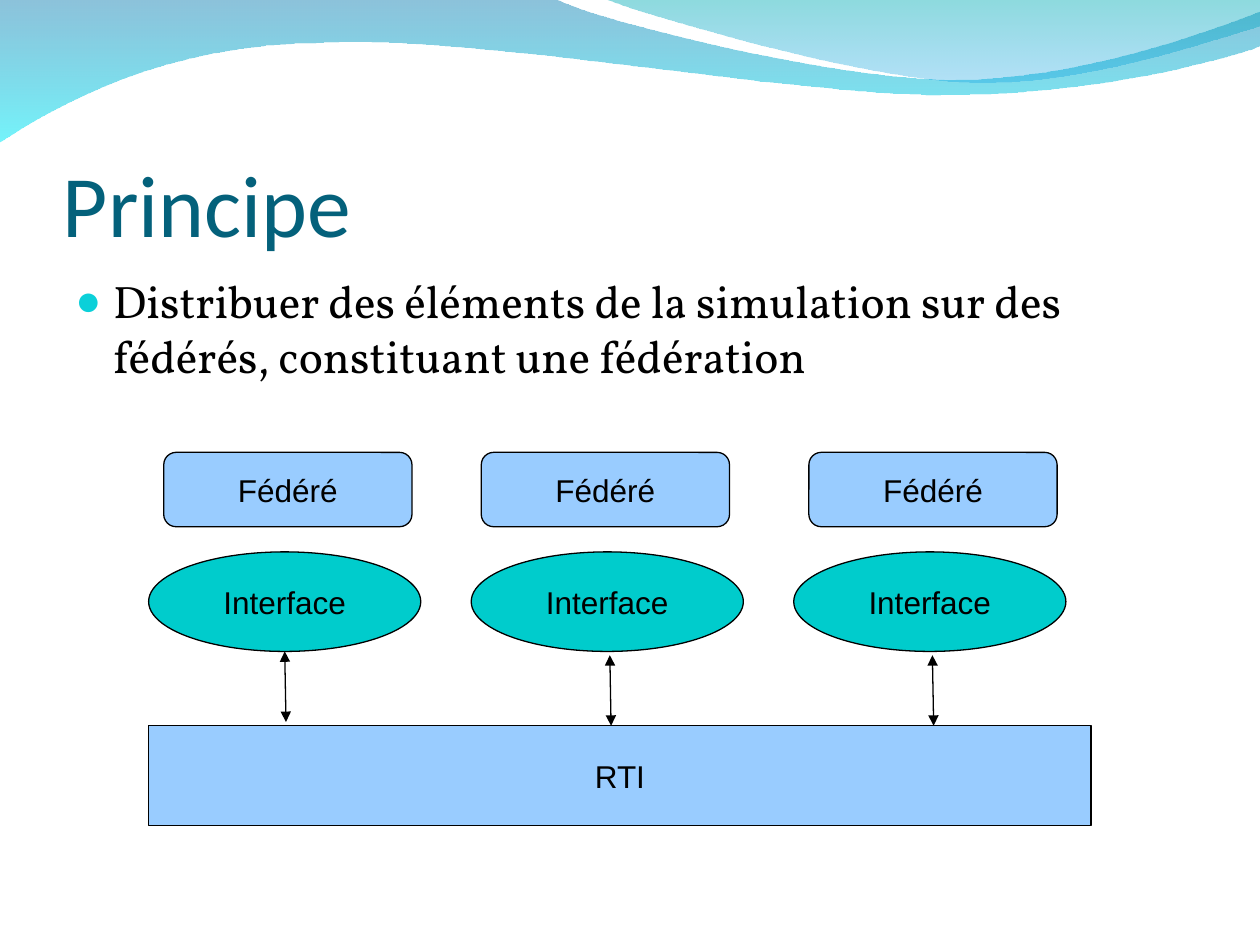
"""Build the slide on the principle of a distributed simulation."""
from lxml import etree
from pptx import Presentation
from pptx.dml.color import RGBColor
from pptx.enum.shapes import MSO_CONNECTOR, MSO_SHAPE
from pptx.enum.text import MSO_ANCHOR, PP_ALIGN
from pptx.oxml.ns import qn
from pptx.util import Inches, Pt

RECTANGLE, ROUNDED, OVAL = MSO_SHAPE.RECTANGLE, MSO_SHAPE.ROUNDED_RECTANGLE, MSO_SHAPE.OVAL
STRAIGHT = MSO_CONNECTOR.STRAIGHT
TOP, MIDDLE, BOTTOM = MSO_ANCHOR.TOP, MSO_ANCHOR.MIDDLE, MSO_ANCHOR.BOTTOM
LEFT, CENTER = PP_ALIGN.LEFT, PP_ALIGN.CENTER

TITLE = "Principe"
BULLET = "Distribuer des éléments de la simulation sur des fédérés, constituant une fédération"
BLACK, BLUE, TEAL = "000000", "99CCFF", "00CCCC"
TITLE_FONT = {"name": "Calibri", "size": Pt(50), "color": "04617B"}
BODY_FONT = {"name": "Vollkorn", "size": Pt(26), "color": BLACK}
LABEL_FONT = {"name": "Arial", "size": Pt(18), "color": BLACK}
TITLE_FRAME = {"vertical_anchor": BOTTOM, "word_wrap": True, "margin_left": 0,
               "margin_right": 0, "margin_top": Inches(0.05), "margin_bottom": 0}
BODY_FRAME = {"vertical_anchor": TOP, "word_wrap": True}
LABEL_FRAME = {"vertical_anchor": MIDDLE, "word_wrap": False}

ROWS = [
    ("RTI", RECTANGLE, BLUE, (1.18,), 5.76, 7.48, 0.79),
    ("Interface", OVAL, TEAL, (1.18, 3.74, 6.3), 4.38, 2.16, 0.79),
    ("Fédéré", ROUNDED, BLUE, (1.3, 3.82, 6.42), 3.59, 1.97, 0.59),
]
ARROWS = [(2.26, 5.17), (4.84, 5.2), (7.4, 5.2)]
ARROW_SHIFT, ARROW_HEIGHT = 0.01, 0.56

WAVES = [
    ([(0, -0.01), (4.4, -0.01), (4.76, 0.17, 6.64, 0.63, 7.58, 0.63),
      (8.53, 0.63, 9.58, 0.26, 10, 0.09), (10.01, 0.36),
      (9.83, 0.44, 8.7, 0.76, 7.46, 0.75), (6.22, 0.75, 3.82, 0.28, 2.57, 0.34),
      (1.29, 0.35, 0.46, 0.83, -0.01, 1.13)],
     [("0079AF", 45), ("00EBF8", 55)]),
    ([(4.79, -0.01), (5.09, 0.11, 6.82, 0.62, 7.69, 0.65),
      (8.56, 0.69, 9.61, 0.32, 10, 0.21), (10, 0)],
     [("00ADB6", 45), ("009BE5", 30)]),
]


def rgb(value):
    return RGBColor.from_string(value)


def add_element(parent, tag, **attributes):
    return etree.SubElement(parent, qn(tag), attributes)


def bend_curves(wave, segments):
    lines = iter(list(wave.element.spPr.iter(qn("a:lnTo"))))
    for segment in segments:
        group = [next(lines) for _ in range(len(segment) // 2)]
        if len(group) == 3:
            curve = etree.Element(qn("a:cubicBezTo"))
            group[0].addprevious(curve)
            for line in group:
                curve.append(line[0])
                line.getparent().remove(line)


def add_wave(page, segments, colors):
    start, *others = [(Inches(x), Inches(y)) for segment in segments
                      for x, y in zip(segment[::2], segment[1::2])]
    builder = page.shapes.build_freeform(*start, scale=1.0)
    builder.add_line_segments(others, close=True)
    wave = builder.convert_to_shape()
    bend_curves(wave, segments[1:])
    wave.shadow.inherit = False
    wave.line.fill.background()
    wave.fill.gradient()
    wave.fill.gradient_angle = 270
    for position, (stop, (color, _)) in enumerate(zip(wave.fill.gradient_stops, colors)):
        stop.position = position
        stop.color.rgb = rgb(color)
    for node, (_, opacity) in zip(wave.element.spPr.iter(qn("a:srgbClr")), colors):
        add_element(node, "a:alpha", val=str(opacity * 1000))


def write_text(box, text, font, frame, align=LEFT, bullet=None):
    for name, value in frame.items():
        setattr(box.text_frame, name, value)
    paragraph = box.text_frame.paragraphs[0]
    paragraph.alignment = align
    if bullet:
        properties = paragraph._p.get_or_add_pPr()
        properties.set("marL", str(Inches(0.3)))
        properties.set("indent", str(Inches(-0.3)))
        add_element(add_element(properties, "a:buClr"), "a:srgbClr", val=bullet)
        add_element(properties, "a:buSzPct", val="95000")
        add_element(properties, "a:buFont", typeface="Arial")
        add_element(properties, "a:buChar", char="●")
    span = paragraph.add_run()
    span.text = text
    span.font.name, span.font.size = font["name"], font["size"]
    span.font.color.rgb = rgb(font["color"])


def add_label(page, text, kind, color, *place):
    shape = page.shapes.add_shape(kind, *map(Inches, place))
    shape.shadow.inherit = False
    shape.fill.solid()
    shape.fill.fore_color.rgb = rgb(color)
    shape.line.color.rgb = rgb(BLACK)
    shape.line.width = Pt(0.75)
    write_text(shape, text, LABEL_FONT, LABEL_FRAME, CENTER)


def add_arrow(page, x, y):
    ends = (x, y, x + ARROW_SHIFT, y + ARROW_HEIGHT)
    arrow = page.shapes.add_connector(STRAIGHT, *map(Inches, ends))
    arrow.line.color.rgb = rgb(BLACK)
    arrow.line.width = Pt(0.75)
    for tag in ("a:headEnd", "a:tailEnd"):
        add_element(arrow.line._get_or_add_ln(), tag, type="triangle")
    add_element(arrow.element.spPr, "a:effectLst")


def main():
    deck = Presentation()
    deck.slide_width, deck.slide_height = Inches(10), Inches(7.5)
    page = deck.slides.add_slide(deck.slide_layouts[6])
    for segments, colors in WAVES:
        add_wave(page, segments, colors)
    title = page.shapes.add_textbox(*map(Inches, (0.5, 0.77, 9, 1.25)))
    write_text(title, TITLE, TITLE_FONT, TITLE_FRAME)
    body = page.shapes.add_textbox(*map(Inches, (0.5, 2.12, 9, 4.8)))
    write_text(body, BULLET, BODY_FONT, BODY_FRAME, bullet="0BD0D9")
    for text, kind, color, lefts, top, width, height in ROWS:
        for left in lefts:
            add_label(page, text, kind, color, left, top, width, height)
    for x, y in ARROWS:
        add_arrow(page, x, y)
    deck.save("out.pptx")


if __name__ == "__main__":
    main()
